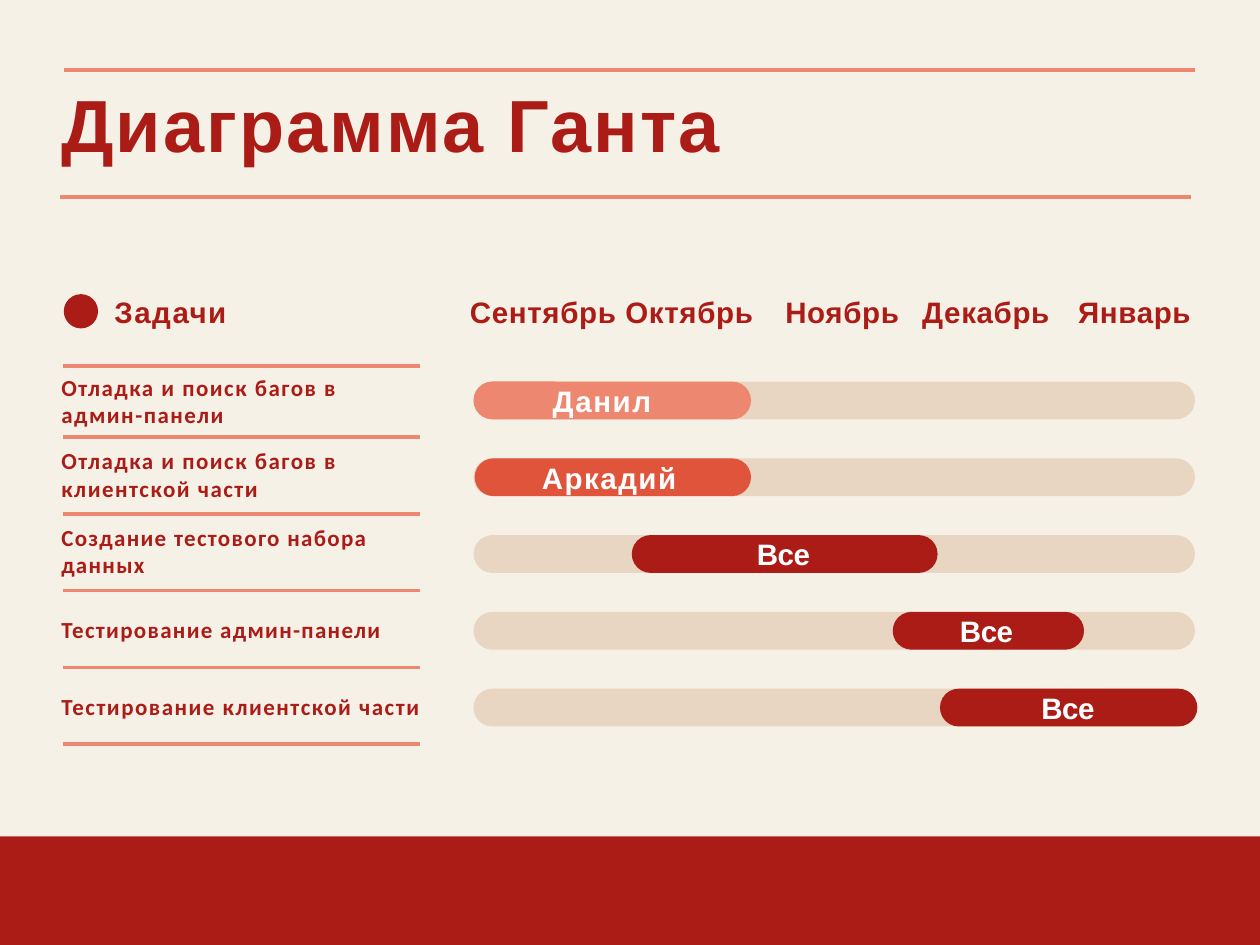
from lxml import etree
from pptx import Presentation
from pptx import util as u
from pptx.dml.color import RGBColor
from pptx.enum import shapes, text
from pptx.oxml import ns

RED, CORAL, ORANGE = "AC1C17", "ED876F", "DF543B"
CREAM, SAND, WHITE = "F6F1E7", "E8D5C2", "FFFFFF"
ROW_PITCH, BAR_HEIGHT = 0.65, 0.32
MONTH_TABS = (2.67, 3.83, 5.15)

TASKS = [
    ("Отладка и поиск багов в админ-панели", 3.15, 2.51, 0.48, 0.9),
    ("Отладка и поиск багов в клиентской части", 3.77, 2.85, 0.48, 0.9),
    ("Создание тестового набора данных", 4.42, 3.06, 0.49, 0.8),
    ("Тестирование админ-панели", 5.2, 2.84, 0.25, 0.8),
    ("Тестирование клиентской части", 5.85, 3.05, 0.25, 0.9),
]
BARS = [
    ("Данил", 4.01, 2.35, CORAL, 4.67, 0.88, 1),
    ("Аркадий", 4.02, 2.34, ORANGE, 4.58, 1.2, 0.9),
    ("Все", 5.35, 2.59, RED, 6.4, 0.47, -0.3),
    ("Все", 7.56, 1.62, RED, 8.12, 0.47, -0.3),
    ("Все", 7.96, 2.18, RED, 8.81, 0.47, -0.3),
]


def rgb(code):
    """Turn a hex string into a colour."""
    return RGBColor.from_string(code)


def block(slide, kind, left, top, width, height, color):
    """Add a plain filled shape without outline or shadow."""
    area = slide.shapes.add_shape(
        kind, u.Inches(left), u.Inches(top), u.Inches(width), u.Inches(height))
    area.shadow.inherit = False
    area.fill.solid()
    area.fill.fore_color.rgb = rgb(color)
    area.line.fill.background()
    return area


def pill(slide, left, top, width, color):
    """Add a bar with fully rounded ends."""
    bar = block(slide, shapes.MSO_SHAPE.ROUNDED_RECTANGLE,
                left, top, width, BAR_HEIGHT, color)
    bar.adjustments[0] = 0.5


def rule(slide, left, top, width):
    """Add a horizontal coral line."""
    line = slide.shapes.add_connector(
        shapes.MSO_CONNECTOR.STRAIGHT, u.Inches(left), u.Inches(top),
        u.Inches(left + width), u.Inches(top))
    line.line.color.rgb = rgb(CORAL)
    line.line.width = u.Pt(2.25)
    etree.SubElement(line.element.spPr, ns.qn("a:effectLst"))


def label(slide, wording, left, top, width, height, size, spacing,
          color=RED, font="Arial", inset=0.02):
    """Add a bold, letter-spaced text and return its paragraph."""
    box = slide.shapes.add_textbox(
        u.Inches(left), u.Inches(top), u.Inches(width), u.Inches(height))
    frame = box.text_frame
    frame.word_wrap = True
    frame.auto_size = text.MSO_AUTO_SIZE.SHAPE_TO_FIT_TEXT
    frame.margin_left = frame.margin_right = frame.margin_bottom = 0
    frame.margin_top = u.Inches(inset)
    frame.text = wording
    paragraph = frame.paragraphs[0]
    paragraph.space_before = u.Pt(1.1)
    properties = paragraph._p.get_or_add_pPr()
    properties.set("marL", str(u.Inches(0.01)))
    run = paragraph.runs[0]
    run.font.name, run.font.size, run.font.bold = font, u.Pt(size), True
    run.font.color.rgb = rgb(color)
    run.font._element.set("spc", str(round(spacing * 100)))
    return paragraph


def add_tabs(paragraph, positions):
    """Set left tab stops on a paragraph."""
    stops = etree.SubElement(paragraph._p.get_or_add_pPr(), ns.qn("a:tabLst"))
    for position in positions:
        etree.SubElement(stops, ns.qn("a:tab"),
                         pos=str(u.Inches(position)), algn="l")


def heading(slide):
    """Add the title between its two rules."""
    rule(slide, 0.54, 0.59, 9.58)
    rule(slide, 0.51, 1.67, 9.58)
    title = label(slide, "Диаграмма Ганта", 0.51, 0.73, 9.58, 0.7, 45, 1.3)
    title.line_spacing = 0.9


def task_list(slide):
    """Add the column of tasks with separating rules."""
    block(slide, shapes.MSO_SHAPE.OVAL, 0.54, 2.49, 0.29, 0.29, RED)
    label(slide, "Задачи", 0.96, 2.47, 1.2, 0.32, 18, 0.9)
    rule(slide, 0.53, 3.1, 3.03)
    for row, (task, top, width, height, spacing) in enumerate(TASKS):
        label(slide, task, 0.51, top, width, height, 14, spacing,
              font="Calibri", inset=0.01)
        rule(slide, 0.53, 3.7 + row * ROW_PITCH, 3.03)


def timeline(slide):
    """Add the months and one track with its bar per task."""
    months = label(slide, "Сентябрь Октябрь\tНоябрь\tДекабрь\tЯнварь",
                   3.97, 2.47, 6.12, 0.33, 18, 0.4)
    add_tabs(months, MONTH_TABS)
    for row, (who, left, width, color, who_left, who_width, spacing) in enumerate(BARS):
        top = 3.23 + row * ROW_PITCH
        pill(slide, 4.01, top, 6.11, SAND)
        pill(slide, left, top, width, color)
        label(slide, who, who_left, top - 0.01, who_width, 0.33, 18, spacing, WHITE)


def main():
    """Build the slide and save it."""
    deck = Presentation()
    deck.slide_width, deck.slide_height = u.Inches(10.67), u.Inches(8)
    slide = deck.slides.add_slide(deck.slide_layouts[6])
    block(slide, shapes.MSO_SHAPE.RECTANGLE, 0, 0, 10.67, 7.08, CREAM)
    block(slide, shapes.MSO_SHAPE.RECTANGLE, 0, 7.08, 10.67, 0.92, RED)
    task_list(slide)
    timeline(slide)
    heading(slide)
    deck.save("out.pptx")


main()
